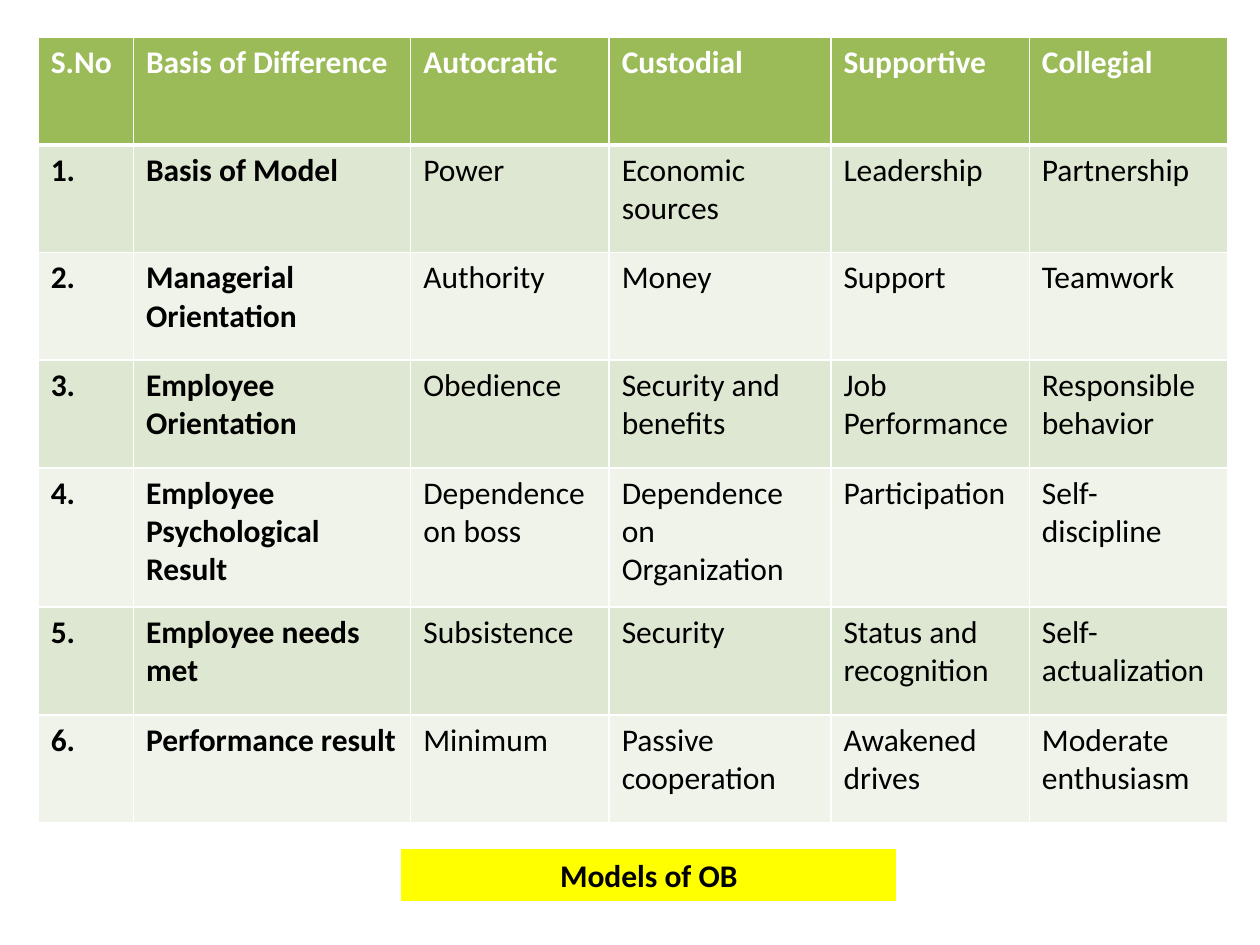
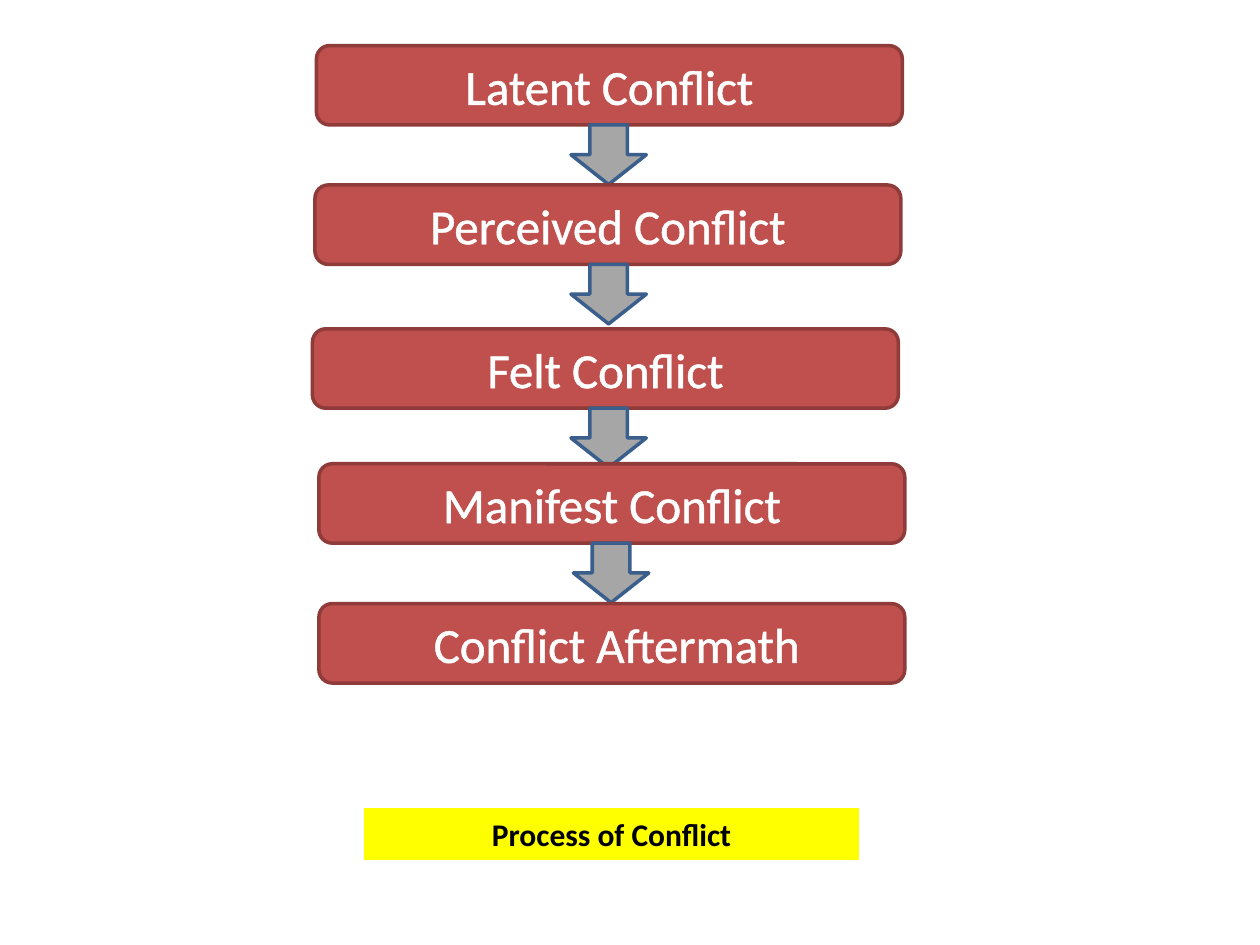
from dataclasses import dataclass
from itertools import product
from typing import Optional

from lxml.etree import SubElement
from pptx import Presentation
from pptx.dml.color import RGBColor
from pptx.enum.shapes import MSO_SHAPE
from pptx.enum.text import MSO_ANCHOR, MSO_AUTO_SIZE, PP_ALIGN
from pptx.oxml.ns import qn
from pptx.slide import Slide
from pptx.util import Cm, Pt


# Shared look
@dataclass(frozen=True)
class Theme:
    font: str = "Calibri"
    body_size: float = 18
    step_size: float = 28
    white: str = "FFFFFF"
    black: str = "000000"
    header: str = "9BBB59"
    odd_row: str = "DEE7D1"
    even_row: str = "EFF3EA"
    caption: str = "FFFF00"
    step: str = "C0504D"
    step_line: str = "8E3B39"
    arrow: str = "A6A6A6"
    arrow_line: str = "3A5F8C"


THEME = Theme()


# Positions and sizes in centimetres
@dataclass(frozen=True)
class Box:
    left: float
    top: float
    width: float
    height: float


@dataclass(frozen=True)
class Step:
    text: str
    left: float
    top: float
    arrow_left: Optional[float] = 11.51
    indent: float = 0


MODELS = [
    ["S.No", "Basis of Difference", "Autocratic", "Custodial", "Supportive", "Collegial"],
    ["1.", "Basis of Model", "Power", "Economic sources", "Leadership", "Partnership"],
    ["2.", "Managerial Orientation", "Authority", "Money", "Support", "Teamwork"],
    ["3.", "Employee Orientation", "Obedience", "Security and benefits",
     "Job Performance", "Responsible behavior"],
    ["4.", "Employee Psychological Result", "Dependence on boss",
     "Dependence on Organization", "Participation", "Self-discipline"],
    ["5.", "Employee needs met", "Subsistence", "Security",
     "Status and recognition", "Self-actualization"],
    ["6.", "Performance result", "Minimum", "Passive cooperation",
     "Awakened drives", "Moderate enthusiasm"],
]
COL_WIDTHS = [1.92, 5.59, 4, 4.47, 4, 4]
ROW_HEIGHTS = [2.17, 2.17, 2.17, 2.17, 2.81, 2.17, 2.17]

STEP_WIDTH, STEP_HEIGHT = 11.81, 1.6
ARROW_WIDTH, ARROW_HEIGHT = 1.52, 1.2
STEPS = [
    Step("Latent Conflict", 6.38, 0.92),
    Step("Perceived Conflict", 6.35, 3.73),
    Step("Felt Conflict", 6.3, 6.63),
    Step("Manifest Conflict", 6.43, 9.35, arrow_left=11.56),
    Step("Conflict Aftermath", 6.43, 12.17, arrow_left=None, indent=0.2),
]


def rgb(color: str) -> RGBColor:
    return RGBColor.from_string(color)


def add_line(parent, tag: str, width: float, color: str):
    ln = SubElement(parent, qn(tag), w=str(int(Pt(width))))
    fill = SubElement(ln, qn("a:solidFill"))
    SubElement(fill, qn("a:srgbClr"), val=color)
    return ln


def set_text(tf, text: str, size: float, color: str, bold: bool = False):
    p = tf.paragraphs[0]
    p.text = text
    r = p.runs[0]
    r.font.name, r.font.size, r.font.bold = THEME.font, Pt(size), bold
    r.font.color.rgb = rgb(color)
    return p


def add_box(s: Slide, kind: MSO_SHAPE, box: Box, fill: str, line: str, width: float):
    sp = s.shapes.add_shape(kind, Cm(box.left), Cm(box.top), Cm(box.width), Cm(box.height))
    sp.shadow.inherit = False
    sp.fill.solid()
    sp.fill.fore_color.rgb = rgb(fill)
    sp.line.color.rgb = rgb(line)
    sp.line.width = Pt(width)
    return sp


def add_caption(s: Slide, text: str, left: float, top: float) -> None:
    sp = add_box(s, MSO_SHAPE.RECTANGLE, Box(left, top, 9.96, 1.03),
                 THEME.caption, THEME.caption, 0.75)
    tf = sp.text_frame
    tf.word_wrap = True
    tf.auto_size = MSO_AUTO_SIZE.SHAPE_TO_FIT_TEXT
    tf.vertical_anchor = MSO_ANCHOR.TOP
    set_text(tf, text, THEME.body_size, THEME.black, bold=True).alignment = PP_ALIGN.CENTER


def add_models_table(s: Slide) -> None:
    table = s.shapes.add_table(len(MODELS), len(COL_WIDTHS), Cm(0.77), Cm(0.75),
                               Cm(sum(COL_WIDTHS)), Cm(sum(ROW_HEIGHTS))).table
    for column, width in zip(table.columns, COL_WIDTHS):
        column.width = Cm(width)
    for row, height in zip(table.rows, ROW_HEIGHTS):
        row.height = Cm(height)
    for i, j in product(range(len(MODELS)), range(len(COL_WIDTHS))):
        cell = table.cell(i, j)
        # White rules, thicker under the header
        tc_pr = cell._tc.get_or_add_tcPr()
        rules = {"a:lnL": 1, "a:lnR": 1, "a:lnT": 3 if i == 1 else 1, "a:lnB": 3 if i == 0 else 1}
        for tag, width in rules.items():
            add_line(tc_pr, tag, width, THEME.white)
        cell.fill.solid()
        band = THEME.odd_row if i % 2 else THEME.even_row
        cell.fill.fore_color.rgb = rgb(band if i else THEME.header)
        set_text(cell.text_frame, MODELS[i][j], THEME.body_size,
                 THEME.black if i else THEME.white, bold=i == 0 or j < 2)


def add_step(s: Slide, step: Step) -> None:
    box = Box(step.left, step.top, STEP_WIDTH, STEP_HEIGHT)
    sp = add_box(s, MSO_SHAPE.ROUNDED_RECTANGLE, box, THEME.step, THEME.step_line, 2)
    tf = sp.text_frame
    tf.word_wrap = True
    tf.margin_left = Cm(0.25 + step.indent)
    tf.vertical_anchor = MSO_ANCHOR.MIDDLE
    p = set_text(tf, step.text, THEME.step_size, THEME.white)
    p.alignment = PP_ALIGN.CENTER
    # White outline around the letters
    r_pr = p.runs[0].font._element
    r_pr.insert(0, add_line(r_pr, "a:ln", 1.45, THEME.white))
    if step.arrow_left is not None:
        arrow = Box(step.arrow_left, step.top + STEP_HEIGHT, ARROW_WIDTH, ARROW_HEIGHT)
        add_box(s, MSO_SHAPE.DOWN_ARROW, arrow, THEME.arrow, THEME.arrow_line, 2)


def main() -> None:
    prs = Presentation()
    prs.slide_width, prs.slide_height = Cm(25.4), Cm(19.05)
    blank = prs.slide_layouts[6]

    # Comparison of the models
    s = prs.slides.add_slide(blank)
    add_models_table(s)
    add_caption(s, "Models of OB", 8.1, 17.13)

    # Stages of conflict
    s = prs.slides.add_slide(blank)
    for step in STEPS:
        add_step(s, step)
    add_caption(s, "Process of Conflict", 7.35, 16.3)

    prs.save("out.pptx")


if __name__ == "__main__":
    main()
